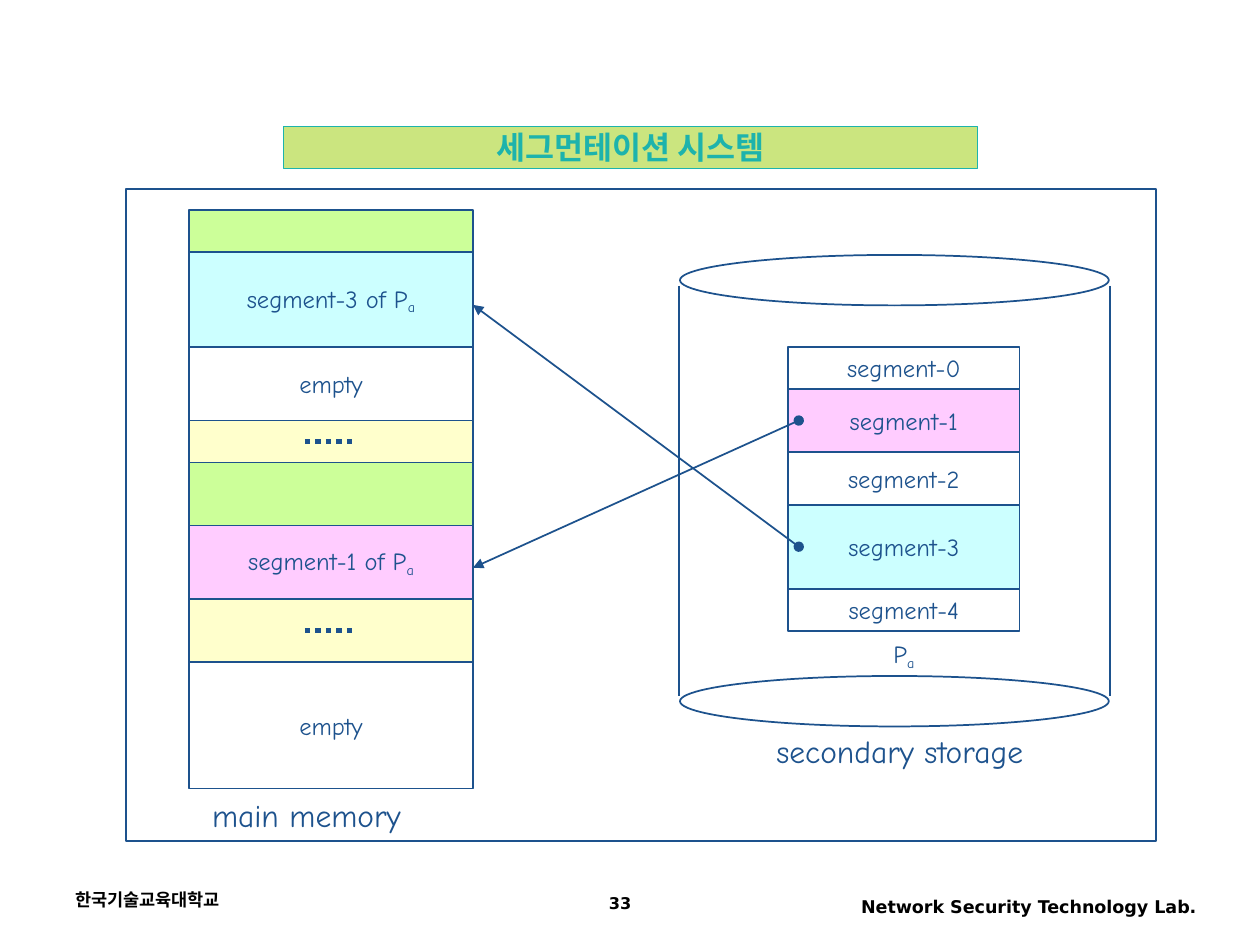
import pptx
import pptx.util
import pptx.dml.color
import pptx.enum.dml
import pptx.enum.shapes
import pptx.enum.text
import pptx.oxml
import pptx.oxml.ns

SHAPE = pptx.enum.shapes.MSO_SHAPE
ALIGN = pptx.enum.text.PP_ALIGN
ANCHOR = pptx.enum.text.MSO_ANCHOR
AUTO = pptx.enum.text.MSO_AUTO_SIZE
DASH = pptx.enum.dml.MSO_LINE

COLORS = {
    "ink": "1D528D", "teal": "1DB3AC", "black": "000000", "white": "FFFFFF",
    "lime": "99CC00", "green": "CCFF99", "cyan": "CCFFFF",
    "yellow": "FFFFCC", "pink": "FFCCFF",
}
BODY = {"name": "Comic Neue", "size": pptx.util.Pt(14)}
CAPTION = {"name": "Comic Neue", "size": pptx.util.Pt(18)}
TITLE = {"name": "Arial Narrow", "size": pptx.util.Pt(18), "bold": True}
FOOTER = {"name": "DejaVu Sans", "size": pptx.util.Pt(10), "bold": True}
PAGE = {**FOOTER, "size": pptx.util.Pt(9.2)}

# (rows high, fill, text); the part of a text after "_" is a subscript
MEMORY_BLOCKS = [
    (4, "green", ""), (9, "cyan", "segment-3 of P_a"), (7, "white", "empty"),
    (4, "yellow", ""), (6, "green", ""), (7, "pink", "segment-1 of P_a"),
    (6, "yellow", ""), (12, "white", "empty"),
]
PROCESS_SEGMENTS = [
    (4, "white", "segment-0"), (6, "pink", "segment-1"),
    (5, "white", "segment-2"), (8, "cyan", "segment-3"),
    (4, "white", "segment-4"),
]


def grid(*cells):
    """Convert grid columns and rows, twelve to the inch, to lengths."""
    return [pptx.util.Inches(c / 12) for c in cells]


def rgb(name):
    return pptx.dml.color.RGBColor.from_string(COLORS[name])


def set_attrs(obj, values):
    for key, value in values.items():
        setattr(obj, key, value)


def paint(sp, fill, line="ink", width=1):
    sp.fill.solid()
    sp.fill.fore_color.rgb = rgb(fill)
    sp.line.color.rgb = rgb(line)
    sp.line.width = pptx.util.Pt(width)


def write(sp, text, font, color="ink", align=ALIGN.CENTER,
          anchor=ANCHOR.MIDDLE, wrap=False):
    tf = sp.text_frame
    set_attrs(tf, {"word_wrap": wrap, "vertical_anchor": anchor,
                   "auto_size": AUTO.NONE})
    p = tf.paragraphs[0]
    p.alignment = align
    base, _, subscript = text.partition("_")
    for part in filter(None, (base, subscript)):
        r = p.add_run()
        r.text = part
        set_attrs(r.font, font)
        r.font.color.rgb = rgb(color)
    if subscript:
        r._r.get_or_add_rPr().set("baseline", "-20000")
    return p


def add_box(s, cells, fill="white", text="", kind=SHAPE.RECTANGLE):
    sp = s.shapes.add_shape(kind, *grid(*cells))
    sp.shadow.inherit = False
    paint(sp, fill)
    if text:
        write(sp, text, BODY)


def add_stack(s, left, top, width, blocks):
    for height, fill, text in blocks:
        add_box(s, (left, top, width, height), fill, text)
        top += height


def add_label(s, cells, text, font, **options):
    sp = s.shapes.add_textbox(*grid(*cells))
    return write(sp, text, font, anchor=ANCHOR.TOP, **options)


def add_line(s, cells, width=1, dash=None, arrow=False):
    sp = s.shapes.add_connector(
        pptx.enum.shapes.MSO_CONNECTOR.STRAIGHT, *grid(*cells))
    sp.line.color.rgb = rgb("ink")
    sp.line.width = pptx.util.Pt(width)
    if dash:
        sp.line.dash_style = dash
    if arrow:
        ln = sp.line._get_or_add_ln()
        for tag, end in (("a:headEnd", "oval"), ("a:tailEnd", "triangle")):
            add_xml(ln, tag, type=end)
    add_xml(sp._element.spPr, "a:effectLst")


def add_xml(parent, tag, **attrs):
    el = pptx.oxml.parse_xml(f"<{tag} {pptx.oxml.ns.nsdecls('a')}/>")
    for key, value in attrs.items():
        el.set(key, value)
    parent.append(el)


def set_title(s, cells, text):
    """Turn the title placeholder into a rounded, half-transparent banner."""
    sp = s.shapes.title
    set_attrs(sp, dict(zip(("left", "top", "width", "height"), grid(*cells))))
    spPr = sp._element.spPr
    add_xml(spPr, "a:prstGeom", prst="flowChartAlternateProcess")
    paint(sp, "lime", "teal", 0.75)
    color = spPr.find(".//" + pptx.oxml.ns.qn("a:srgbClr"))
    add_xml(color, "a:alpha", val="50000")
    write(sp, text, TITLE, "teal")


def add_storage(s):
    left, right, top, bottom = 64.6, 105.6, 27.2, 66.2
    for rim in (24.25, 64.3):
        add_box(s, (64.7, rim, 40.8, 4.8), kind=SHAPE.OVAL)
    for x in (left, right):
        add_line(s, (x, top, x, bottom))
    add_label(s, (72.6, 69, 26, 4.8), "secondary storage", CAPTION)
    add_stack(s, 75, 33, 22, PROCESS_SEGMENTS)
    add_label(s, (83.8, 60.2, 4.4, 4.3), "P_a", BODY)


def add_memory(s):
    add_stack(s, 18, 20, 27, MEMORY_BLOCKS)
    for y in (42, 60):
        add_line(s, (29, y, 34, y), width=3, dash=DASH.ROUND_DOT)
    add_label(s, (19, 75.1, 20.3, 4.8), "main memory", CAPTION)


def add_footer(s):
    add_label(s, (6, 84, 28, 4), "한국기술교육대학교", FOOTER,
              color="black", align=ALIGN.LEFT, wrap=True)
    add_label(s, (77, 84.6, 38, 3.8), "Network Security Technology Lab.",
              FOOTER, color="black", align=ALIGN.RIGHT, wrap=True)
    p = add_label(s, (45, 84.6, 28, 3.4), "33", PAGE,
                  color="black", wrap=True)
    p.line_spacing = 0.9


def main():
    prs = pptx.Presentation()
    prs.slide_width = pptx.util.Inches(9.99)
    prs.slide_height = pptx.util.Inches(7.49)
    s = prs.slides.add_slide(prs.slide_layouts.get_by_name("Title Only"))
    set_title(s, (27, 12, 66, 4), "세그먼테이션 시스템")
    add_box(s, (12, 18, 98, 62))
    add_storage(s)
    add_memory(s)
    for start, end in ((40, 54), (52, 29)):
        add_line(s, (76, start, 45, end), arrow=True)
    add_footer(s)
    prs.save("out.pptx")


if __name__ == "__main__":
    main()
